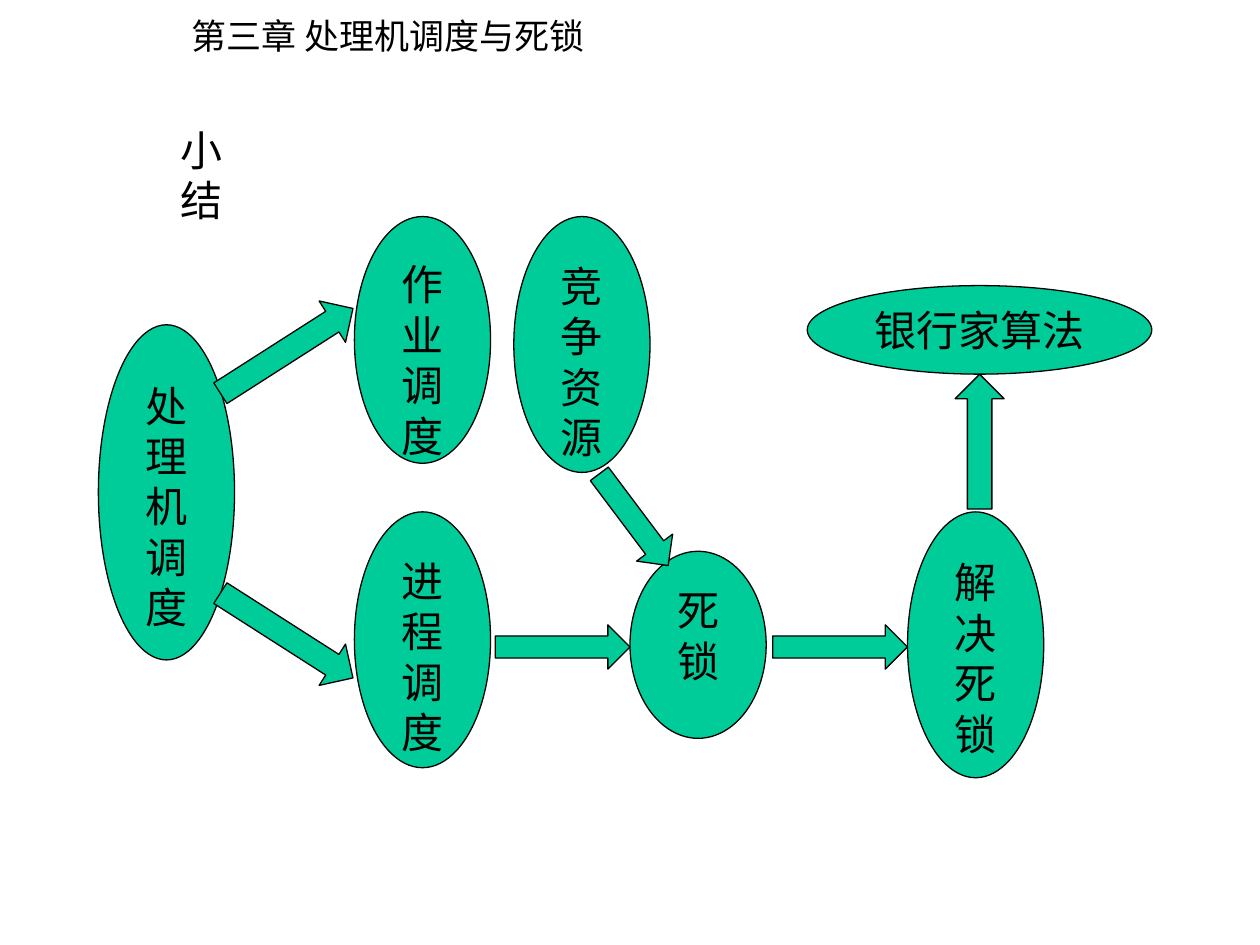
from math import atan2, degrees, hypot

from pptx import Presentation
from pptx.dml.color import RGBColor
from pptx.enum.shapes import MSO_SHAPE
from pptx.enum.text import MSO_ANCHOR, MSO_AUTO_SIZE, PP_ALIGN
from pptx.util import Pt

COLORS = {"fill": "00CC99", "ink": "000000"}
BODY_FONT = "Times New Roman"
NODE_W = 77.8

# label, left, top, width, height
NODES = [
    ("处理机调度", 56.2, 185.6, NODE_W, 191.5),
    ("进程调度", 202.5, 292.5, NODE_W, 146.2),
    ("作业调度", 202.5, 123.75, NODE_W, 141),
    ("死锁", 360, 315, NODE_W, 106.9),
    ("竞争资源", 293.6, 123.75, NODE_W, 146.2),
    ("解决死锁", 518.6, 292.5, NODE_W, 151.9),
    ("银行家算法", 461.3, 163.2, 196.9, 50.6),
]

# tail, tip, thickness
ARROWS = [
    ((125.9, 224.7), (201.7, 176.3), 28),
    ((125.9, 339), (201.7, 387.4), 28),
    ((283, 369.7), (360, 369.7), 25.3),
    ((342.5, 270.8), (381.8, 323.2), 25.7),
    ((441.5, 369.7), (518.5, 369.7), 25.3),
    ((559.8, 290.9), (559.8, 213.9), 28),
]


def rgb(name):
    return RGBColor.from_string(COLORS[name])


def write(tf, text, size, font):
    tf.text = text
    f = tf.paragraphs[0].runs[0].font
    f.size, f.name = Pt(size), font
    f.color.rgb = rgb("ink")


def add_heading(slide, text, left, top, width, height, size, font):
    box = slide.shapes.add_textbox(Pt(left), Pt(top), Pt(width), Pt(height))
    tf = box.text_frame
    tf.word_wrap = False
    tf.auto_size = MSO_AUTO_SIZE.SHAPE_TO_FIT_TEXT
    write(tf, text, size, font)


def add_filled(slide, kind, left, top, width, height):
    s = slide.shapes.add_shape(kind, Pt(left), Pt(top), Pt(width), Pt(height))
    s.shadow.inherit = False
    s.fill.solid()
    s.fill.fore_color.rgb = rgb("fill")
    s.line.color.rgb = rgb("ink")
    s.line.width = Pt(0.75)
    return s


def add_node(slide, label, left, top, width, height):
    tf = add_filled(slide, MSO_SHAPE.OVAL, left, top, width, height).text_frame
    tf.word_wrap = True
    tf.vertical_anchor = MSO_ANCHOR.TOP
    write(tf, label, 24, BODY_FONT)
    tf.paragraphs[0].alignment = PP_ALIGN.CENTER


def add_arrow(slide, tail, tip, thickness):
    """Turn an up arrow about its centre so that it runs from tail to tip."""
    dx, dy = tip[0] - tail[0], tip[1] - tail[1]
    length = hypot(dx, dy)
    left = (tail[0] + tip[0] - thickness) / 2
    top = (tail[1] + tip[1] - length) / 2
    s = add_filled(slide, MSO_SHAPE.UP_ARROW, left, top, thickness, length)
    s.rotation = round(degrees(atan2(dx, -dy)), 1)


def add_summary_diagram(slide):
    for node in NODES:
        add_node(slide, *node)
    for arrow in ARROWS:
        add_arrow(slide, *arrow)


def main():
    prs = Presentation()
    prs.slide_width, prs.slide_height = Pt(720), Pt(540)
    slide = prs.slides.add_slide(prs.slide_layouts[6])
    add_heading(slide, "第三章 处理机调度与死锁", 102.2, 4.5, 243.4, 31.5, 20, "Noto Sans CJK JP")
    add_heading(slide, "小结", 95.8, 67.5, 62, 36, 24, BODY_FONT)
    add_summary_diagram(slide)
    prs.save("out.pptx")


if __name__ == "__main__":
    main()
